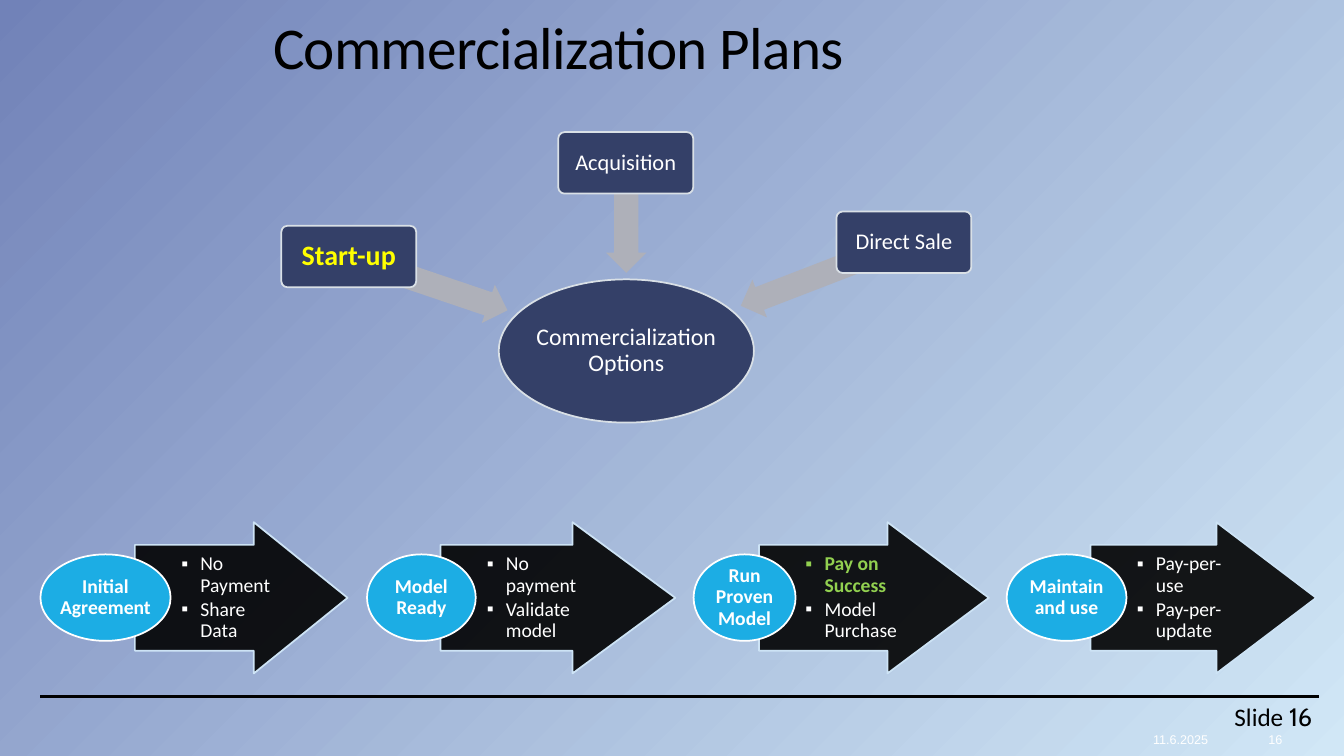
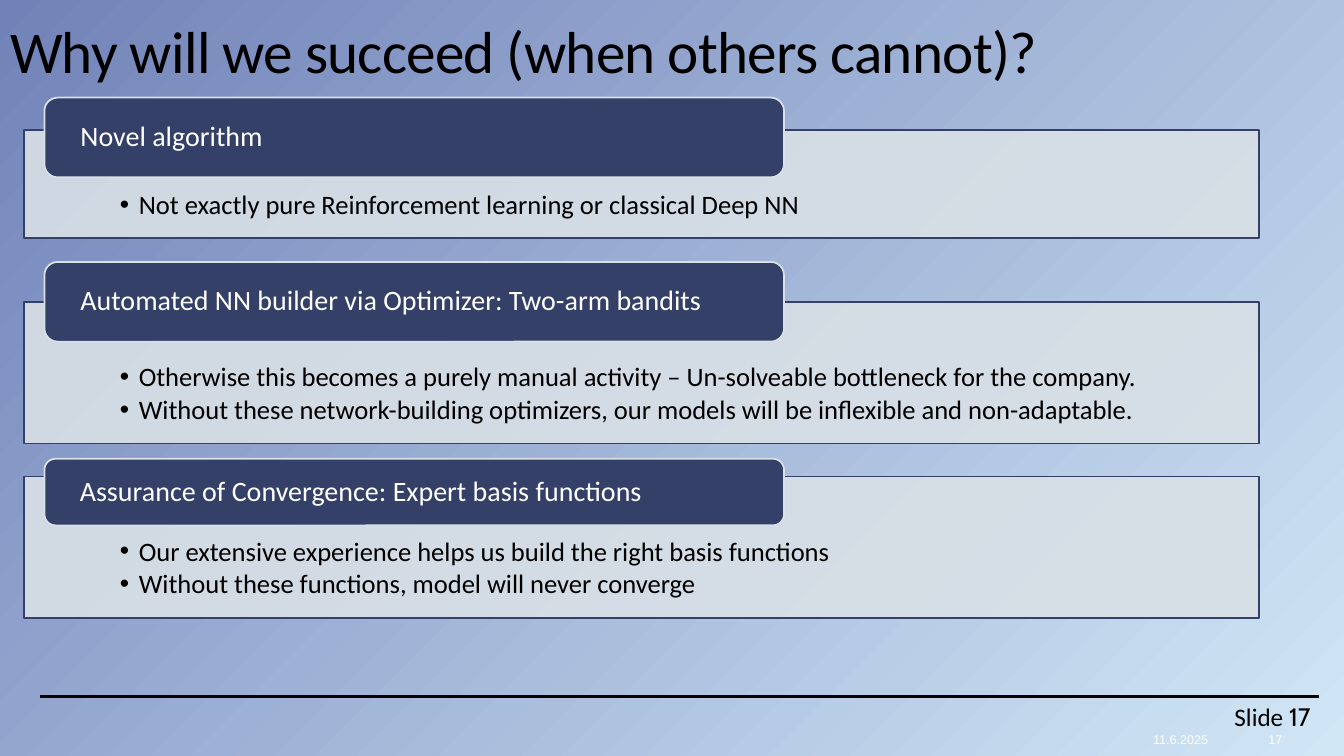
from lxml import etree
from pptx import Presentation
from pptx.dml.color import RGBColor
from pptx.enum.shapes import MSO_CONNECTOR, MSO_SHAPE
from pptx.enum.text import MSO_ANCHOR, MSO_AUTO_SIZE, PP_ALIGN
from pptx.oxml.ns import qn
from pptx.util import Cm, Pt

BLACK = RGBColor(0x00, 0x00, 0x00)
WHITE = RGBColor(0xFF, 0xFF, 0xFF)
YELLOW = RGBColor(0xFF, 0xFF, 0x00)
GREEN = RGBColor(0x92, 0xD0, 0x50)
NAVY = RGBColor(0x34, 0x40, 0x68)
MIST = RGBColor(0xD9, 0xE0, 0xE6)
GREY = RGBColor(0xAE, 0xB0, 0xB9)
SKY = RGBColor(0x1C, 0xAD, 0xE4)
PALE_BLUE = RGBColor(0xCD, 0xE3, 0xF5)
GRADIENT_LIGHT = RGBColor(0xD1, 0xE7, 0xF6)
GRADIENT_DARK = RGBColor(0x71, 0x82, 0xB8)

RECTANGLE = MSO_SHAPE.RECTANGLE
ROUNDED = MSO_SHAPE.ROUNDED_RECTANGLE
OVAL = MSO_SHAPE.OVAL
LEFT_ARROW = MSO_SHAPE.LEFT_ARROW
RIGHT_ARROW = MSO_SHAPE.RIGHT_ARROW
STRAIGHT = MSO_CONNECTOR.STRAIGHT
TOP, MIDDLE, BOTTOM = MSO_ANCHOR.TOP, MSO_ANCHOR.MIDDLE, MSO_ANCHOR.BOTTOM
LEFT, CENTER = PP_ALIGN.LEFT, PP_ALIGN.CENTER
NO_AUTOFIT = MSO_AUTO_SIZE.NONE

FONT = "Calibri"
TITLE_ONLY = 5
DATE = "11.6.2025"

# label, left, top, size, colour, bold, then the arrow's left, top, width, rotation
OPTIONS = [
    ("Start-up", 7.09, 5.69, 20, YELLOW, True, 8.66, 6.63, 4.24, 198.7),
    ("Acquisition", 14.07, 3.33, 16, WHITE, False, 14.4, 4.98, 2.77, 270),
    ("Direct Sale", 21.08, 5.33, 16, WHITE, False, 18.52, 6.4, 4.42, 338.9),
]
# label, oval left and width, arrow left and width, points, first point's colour
STAGES = [
    ("Initial Agreement", 1.02, 3.28, 3.4, 5.36, ["No Payment", "Share Data"], WHITE),
    ("Model Ready", 9.25, 2.74, 11.1, 5.92, ["No payment", "Validate model"], WHITE),
    ("Run Proven Model", 17.48, 2.57, 19.13, 5.79,
     ["Pay on Success", "Model Purchase"], GREEN),
    ("Maintain and use", 25.37, 3.02, 27.48, 5.69,
     ["Pay-per-use", "Pay-per-update"], WHITE),
]
# heading, its top and height, panel top and height, points
REASONS = [
    ("Novel algorithm", 2.46, 2.01, 3.28, 2.72,
     ["Not exactly pure Reinforcement learning or classical Deep NN"]),
    ("Automated NN builder via Optimizer: Two-arm bandits", 6.6, 2.01, 7.62, 3.56,
     ["Otherwise this becomes a purely manual activity – "
      "Un-solveable bottleneck for the company.",
      "Without these network-building optimizers, our models will be "
      "inflexible and non-adaptable."]),
    ("Assurance of Convergence: Expert basis functions", 11.56, 1.68, 12.01, 3.56,
     ["Our extensive experience helps us build the right basis functions",
      "Without these functions, model will never converge"]),
]


class Deck:
    def __init__(self):
        self.presentation = Presentation()
        self.presentation.slide_width = Cm(33.87)
        self.presentation.slide_height = Cm(19.05)
        self.slide = None
        self.set_background()

    def set_background(self):
        """Give the master a gradient that spreads from the lower right corner."""
        fill = self.presentation.slide_master.background.fill
        fill.gradient()
        for stop, color in zip(fill.gradient_stops, (GRADIENT_LIGHT, GRADIENT_DARK)):
            stop.color.rgb = color
        master = self.presentation.slide_master.element
        gradient = master.find(".//" + qn("p:bgPr")).find(qn("a:gradFill"))
        for linear in gradient.findall(qn("a:lin")):
            gradient.remove(linear)
        spread = etree.SubElement(gradient, qn("a:path"), {"path": "circle"})
        etree.SubElement(spread, qn("a:fillToRect"), l="100000", t="100000")
        etree.SubElement(gradient, qn("a:tileRect"), r="-100000", b="-100000")

    def add_slide(self, title, number, left, top, height):
        layout = self.presentation.slide_layouts[TITLE_ONLY]
        self.slide = self.presentation.slides.add_slide(layout)
        shape = self.slide.shapes.title
        shape.left, shape.top = Cm(left), Cm(top)
        shape.width, shape.height = Cm(27.25), Cm(height)
        frame = shape.text_frame
        frame.auto_size = NO_AUTOFIT
        frame.vertical_anchor = BOTTOM
        paragraph = frame.paragraphs[0]
        paragraph.alignment = LEFT
        paragraph.line_spacing = 0.9
        run = self.run(paragraph, title, 42.3, BLACK)
        run.font._element.set("spc", "-50")
        self.footer(number)

    def footer(self, number):
        rule = self.slide.shapes.add_connector(
            STRAIGHT, Cm(1.02), Cm(17.55), Cm(33.25), Cm(17.55))
        rule.line.color.rgb = BLACK
        rule.line.width = Pt(2.25)
        etree.SubElement(rule._element.spPr, qn("a:effectLst"))
        label = self.text_box(30.86, 17.55, 2.74, 1.02)
        self.run(label, "Slide ", 18, BLACK)
        self.run(label, str(number), 18, BLACK, font="Cabin")
        for text, left, width in ((DATE, 28.22, 3.07), (str(number), 31.29, 1.7)):
            paragraph = self.text_box(left, 18.31, width, 0.51)
            paragraph.alignment = CENTER
            self.run(paragraph, text, 9, WHITE, font="Arial")

    def text_box(self, left, top, width, height):
        """Add an empty text box and return its first paragraph."""
        box = self.slide.shapes.add_textbox(Cm(left), Cm(top), Cm(width), Cm(height))
        box.text_frame.word_wrap = True
        return box.text_frame.paragraphs[0]

    def run(self, paragraph, text, size, color, bold=False, font=FONT):
        run = paragraph.add_run()
        run.text = text
        run.font.name = font
        run.font.size = Pt(size)
        run.font.bold = bold
        run.font.color.rgb = color
        return run

    def shape(self, kind, left, top, width, height, fill, line=None,
              adjustments=(), opacity=None):
        shape = self.slide.shapes.add_shape(
            kind, Cm(left), Cm(top), Cm(width), Cm(height))
        shape.shadow.inherit = False
        for index, value in enumerate(adjustments):
            shape.adjustments[index] = value
        shape.fill.solid()
        shape.fill.fore_color.rgb = fill
        if opacity:
            color = shape._element.spPr.find(qn("a:solidFill")).find(qn("a:srgbClr"))
            etree.SubElement(color, qn("a:alpha"), val=str(opacity * 1000))
        if line is None:
            shape.line.fill.background()
        else:
            shape.line.color.rgb = line
            shape.line.width = Pt(1.25)
        return shape

    def frame(self, shape, anchor=MIDDLE, margins=(0, 0, 0, 0)):
        """Return the shape's text frame, with margins left, top, right, bottom."""
        frame = shape.text_frame
        frame.word_wrap = True
        frame.vertical_anchor = anchor
        (frame.margin_left, frame.margin_top,
         frame.margin_right, frame.margin_bottom) = map(Cm, margins)
        return frame

    def label(self, shape, text, size, color=WHITE, bold=False,
              alignment=CENTER, inset=0):
        frame = self.frame(shape, margins=(inset, 0, inset, 0))
        paragraph = frame.paragraphs[0]
        paragraph.alignment = alignment
        paragraph.line_spacing = 0.9
        self.run(paragraph, text, size, color, bold)

    def bullets(self, frame, points, size, marker):
        """Fill the frame with bulleted (text, colour, bold) points."""
        for index, (text, color, bold) in enumerate(points):
            paragraph = frame.add_paragraph() if index else frame.paragraphs[0]
            paragraph.alignment = LEFT
            paragraph.line_spacing = 0.9
            paragraph.space_after = Pt(round(size * 0.15, 1))
            properties = paragraph._p.get_or_add_pPr()
            properties.set("marL", str(Cm(0.48)))
            properties.set("indent", str(-Cm(0.48)))
            etree.SubElement(properties, qn("a:buFont"), typeface="Arial")
            etree.SubElement(properties, qn("a:buChar"), char=marker)
            self.run(paragraph, text, size, color, bold)

    def option(self, text, left, top, size, color, bold,
               arrow_left, arrow_top, arrow_width, rotation):
        arrow = self.shape(LEFT_ARROW, arrow_left, arrow_top, arrow_width, 1.02,
                           GREY, adjustments=(0.6, 0.5))
        arrow.rotation = rotation
        box = self.shape(ROUNDED, left, top, 3.4, 1.55, NAVY, MIST, (0.1,))
        self.label(box, text, size, color, bold)

    def stage(self, text, oval_left, oval_width, arrow_left, arrow_width,
              points, first_color):
        height = 3.81
        head = round(0.44 * arrow_width / height, 2)
        arrow = self.shape(RIGHT_ARROW, arrow_left, 13.16, arrow_width, height,
                           BLACK, PALE_BLUE, (0.7, head), opacity=90)
        first, second = points
        self.bullets(self.frame(arrow, margins=(1.17, 0, 0, 0)),
                     [(first, first_color, first_color == GREEN),
                      (second, WHITE, False)], 14, "▪")
        oval = self.shape(OVAL, oval_left, 13.97, oval_width, 2.18, SKY, WHITE)
        self.label(oval, text, 14, bold=True)

    def reason(self, heading, top, height, panel_top, panel_height, points):
        panel = self.shape(RECTANGLE, 0.61, panel_top, 31.12, panel_height,
                           MIST, NAVY, opacity=90)
        self.bullets(self.frame(panel, TOP, (2.41, 1.55, 2.41, 0.38)),
                     [(point, BLACK, False) for point in points], 19, "•")
        tab = self.shape(ROUNDED, 1.12, top, 18.64, height, NAVY, MIST)
        self.label(tab, heading, 20, alignment=LEFT, inset=0.81)


def main():
    deck = Deck()

    deck.add_slide("Commercialization Plans", 16, 6.63, 0.33, 1.88)
    hub = deck.shape(OVAL, 12.57, 7.04, 6.43, 3.61, NAVY, MIST)
    deck.label(hub, "Commercialization Options", 17)
    for option in OPTIONS:
        deck.option(*option)
    for stage in STAGES:
        deck.stage(*stage)

    deck.add_slide("Why will we succeed (when others cannot)?", 17, 0, 0.23, 2.06)
    for reason in REASONS:
        deck.reason(*reason)

    deck.presentation.save("out.pptx")


if __name__ == "__main__":
    main()
